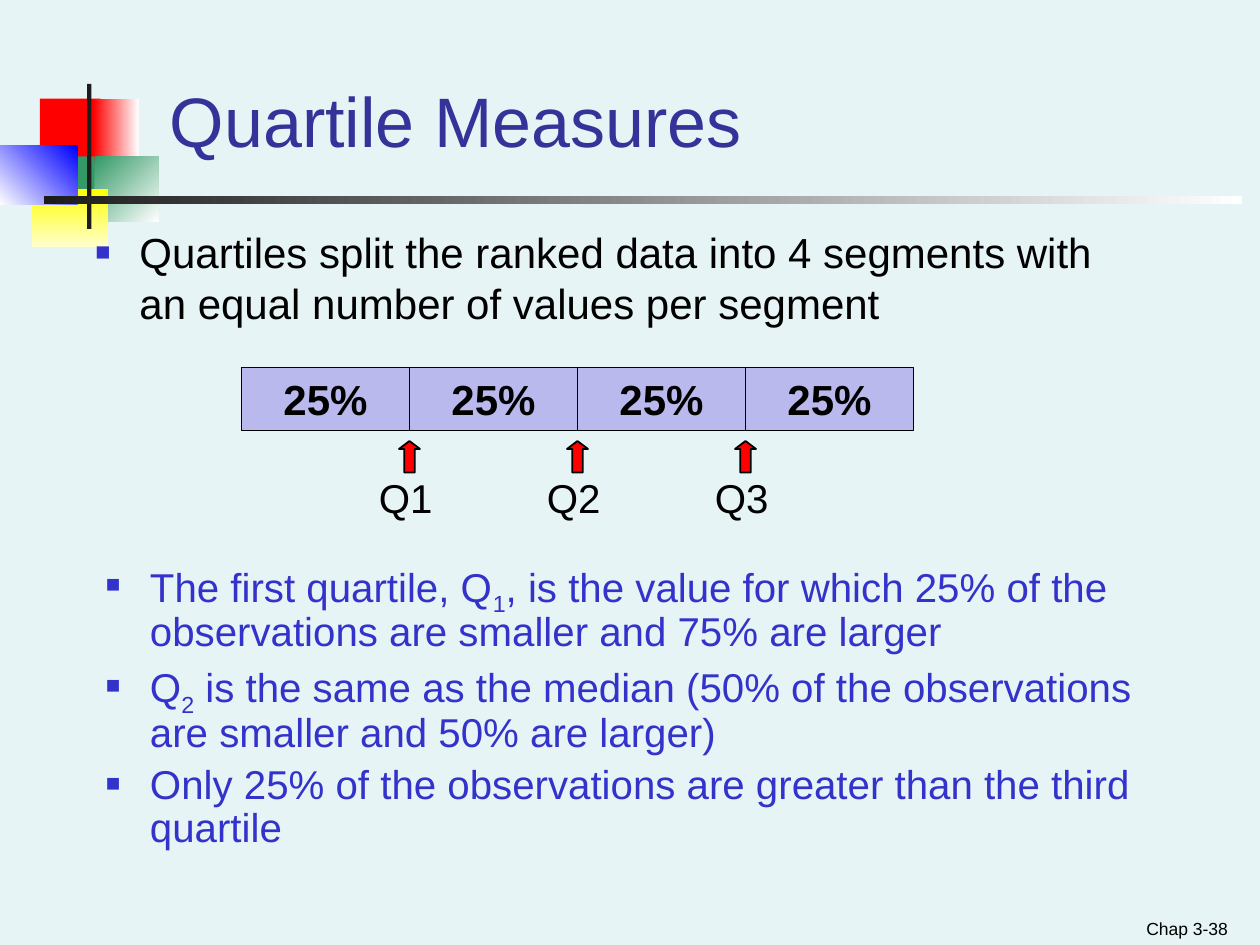
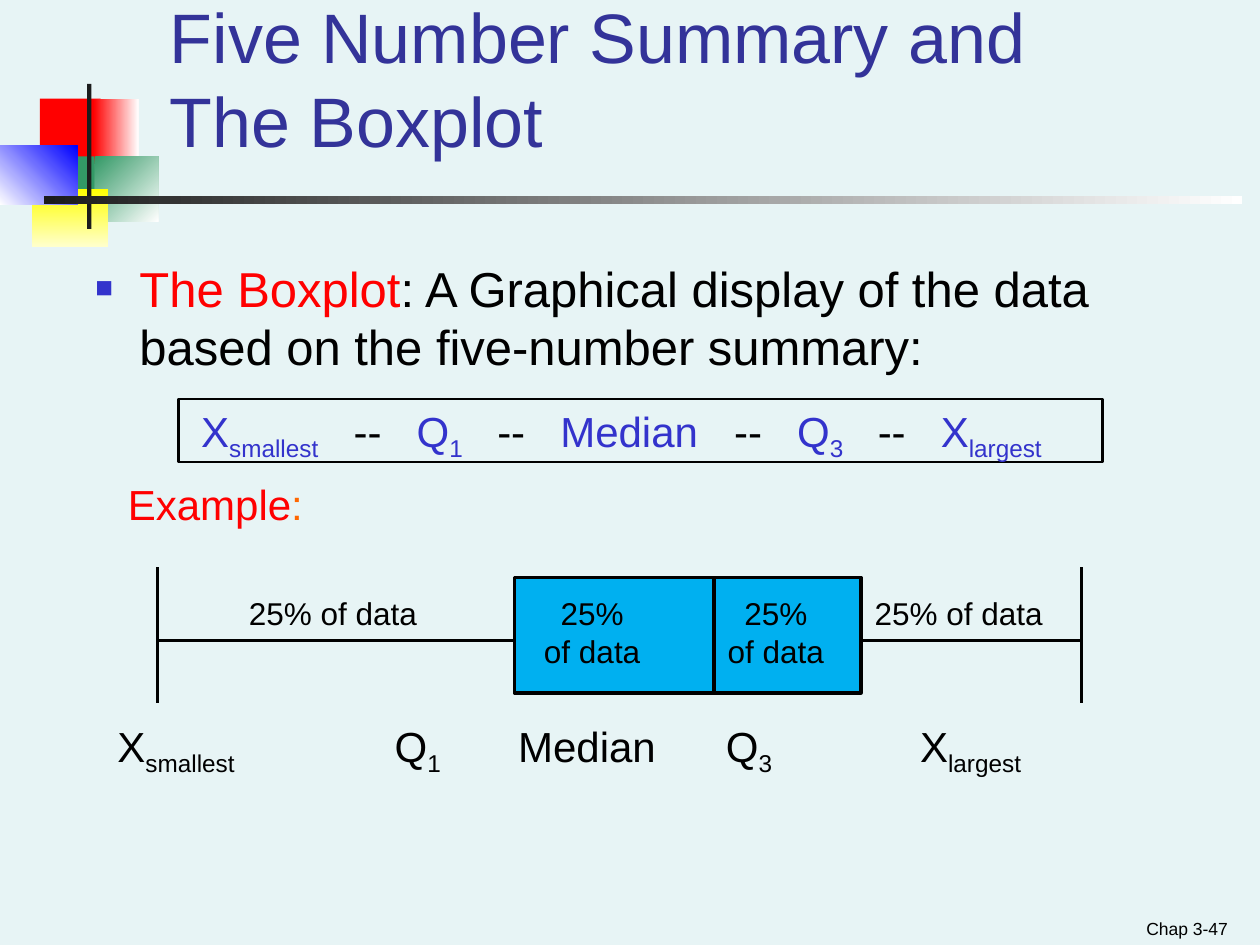
from lxml import etree
from pptx import Presentation
from pptx import util as u
from pptx.dml.color import RGBColor
from pptx.enum import shapes, text
from pptx.oxml import ns

COLS, ROWS = 120, 90
WIDE, HIGH = u.Inches(10), u.Inches(7.5)
FONT = "Arial"

PALE = RGBColor(0xE7, 0xF4, 0xF5)
BLACK = RGBColor(0, 0, 0)
WHITE = RGBColor(0xFF, 0xFF, 0xFF)
RED = RGBColor(0xFF, 0, 0)
GREEN = RGBColor(0x33, 0x99, 0x66)
YELLOW = RGBColor(0xFF, 0xFF, 0)
CREAM = RGBColor(0xFF, 0xFF, 0xCC)
BLUE = RGBColor(0, 0, 0xFF)
INK = RGBColor(0x1C, 0x1C, 0x1C)
NAVY = RGBColor(0x33, 0x33, 0x99)
INDIGO = RGBColor(0x33, 0x33, 0xCC)
LILAC = RGBColor(0xB9, 0xB9, 0xED)
SKY = RGBColor(0, 0xB0, 0xF0)
ORANGE = RGBColor(0xFF, 0x66, 0)

LEFT, MID, RIGHT = text.PP_ALIGN.LEFT, text.PP_ALIGN.CENTER, text.PP_ALIGN.RIGHT
TOP, CENTER, BOTTOM = text.MSO_ANCHOR.TOP, text.MSO_ANCHOR.MIDDLE, text.MSO_ANCHOR.BOTTOM
RECT, ARROW = shapes.MSO_SHAPE.RECTANGLE, shapes.MSO_SHAPE.UP_ARROW


def place(*cells):
    return [round(c * (HIGH / ROWS if i % 2 else WIDE / COLS)) for i, c in enumerate(cells)]


def child(node, tag, **attrs):
    return etree.SubElement(node, ns.qn("a:" + tag), attrs)


def bullet(para):
    props = para._p.get_or_add_pPr()
    props.set("marL", str(u.Inches(0.35)))
    props.set("indent", str(-u.Inches(0.35)))
    child(child(props, "buClr"), "srgbClr", val=str(INDIGO))
    child(props, "buSzPct", val="60000")
    child(props, "buFont", typeface=FONT)
    child(props, "buChar", char="■")


def tabs(para, stops):
    stop_list = child(para._p.get_or_add_pPr(), "tabLst")
    for stop in stops:
        child(stop_list, "tab", pos=str(u.Inches(stop)), algn="l")


def write(shape, paras, size=24, color=BLACK, bold=False, align=LEFT, anchor=TOP,
          bullets=False, stops=(), lead=None, gap=0, inset=0.09):
    frame = shape.text_frame
    frame.word_wrap = True
    frame.vertical_anchor = anchor
    frame.margin_left = frame.margin_right = u.Inches(inset)
    frame.margin_top = frame.margin_bottom = u.Inches(0.05)
    for i, runs in enumerate(paras):
        para = frame.paragraphs[0] if i == 0 else frame.add_paragraph()
        if bullets:
            bullet(para)
        if stops:
            tabs(para, stops)
        para.alignment = align
        if lead:
            para.line_spacing = lead
        if i and gap:
            para.space_before = u.Pt(gap)
        if isinstance(runs, str):
            runs = [(runs, color)]
        for words, tint in runs:
            for j, part in enumerate(words.split("_")):
                if not part:
                    continue
                run = para.add_run()
                run.text = part
                run.font.name, run.font.size = FONT, u.Pt(size)
                run.font.bold = bold
                run.font.color.rgb = tint
                if j % 2:
                    run._r.get_or_add_rPr().set("baseline", "-25000")


def label(slide, cells, paras, **form):
    write(slide.shapes.add_textbox(*place(*cells)), paras, **form)


def block(slide, cells, fill=None, end=None, angle=0, line=None, kind=RECT):
    shape = slide.shapes.add_shape(kind, *place(*cells))
    shape.shadow.inherit = False
    if end is not None:
        shape.fill.gradient()
        shape.fill.gradient_angle = angle
        for stop, tint in zip(shape.fill.gradient_stops, (fill, end)):
            stop.color.rgb = tint
    elif fill is not None:
        shape.fill.solid()
        shape.fill.fore_color.rgb = fill
    else:
        shape.fill.background()
    if line:
        shape.line.color.rgb = BLACK
        shape.line.width = u.Pt(line)
    else:
        shape.line.fill.background()
    return shape


def rule(slide, *ends):
    line = slide.shapes.add_connector(shapes.MSO_CONNECTOR.STRAIGHT, *place(*ends))
    line.line.color.rgb = BLACK
    line.line.width = u.Pt(2)
    child(line._element.spPr, "effectLst")


def base(deck, title, page):
    slide = deck.slides.add_slide(deck.slide_layouts[6])
    slide.background.fill.solid()
    slide.background.fill.fore_color.rgb = PALE
    for cells, fill, end, angle in (
        ((3.8, 9.4, 5.8, 6.2), RED, None, 0),
        ((8.9, 9.4, 4.3, 6.2), RED, WHITE, 0),
        ((9, 14.9, 6.1, 6.2), GREEN, WHITE, 315),
        ((5.2, 14.9, 3.8, 6.2), GREEN, None, 0),
        ((3, 18, 7.3, 5.5), YELLOW, CREAM, 270),
        ((0, 13.9, 7.4, 5.6), WHITE, BLUE, 45),
        ((8.3, 8, 0.4, 13.8), INK, None, 0),
        ((4.2, 18.7, 114.1, 0.7), INK, WHITE, 0),
    ):
        block(slide, cells, fill, end, angle)
    label(slide, (15.1, 3, 96.9, 13), title, size=40, color=NAVY, anchor=BOTTOM)
    label(slide, (90, 85.8, 28, 4.2), [f"Chap 3-{page}"], size=10, align=RIGHT, anchor=BOTTOM)
    return slide


def quartiles(deck):
    slide = base(deck, ["Quartile Measures"], 38)
    label(slide, (8, 21, 98, 12.5),
          ["Quartiles split the ranked data into 4 segments with an equal number of values per segment"],
          bullets=True)
    start, pitch = 23, 16
    for i in range(4):
        part = block(slide, (start + i * pitch, 35, pitch, 6), LILAC, line=1)
        write(part, ["25%"], bold=True, align=MID, anchor=CENTER)
    for i in range(1, 4):
        edge = start + i * pitch
        arrow = block(slide, (edge - 1, 42, 2, 3), RED, line=1, kind=ARROW)
        arrow.adjustments[1] = 0.38
        label(slide, (edge - 4, 45, 8, 6), [f"Q{i}"], size=23, lead=0.9)
    label(slide, (9, 53, 105, 29), [
        "The first quartile, Q_1_, is the value for which 25% of the observations are smaller and 75% are larger",
        "Q_2_ is the same as the median (50% of the observations are smaller and 50% are larger)",
        "Only 25% of the observations are greater than the third quartile",
    ], size=23, color=INDIGO, bullets=True, lead=0.9, gap=4.6)


def boxplot(deck):
    slide = base(deck, ["Five Number Summary and", "The Boxplot"], 47)
    label(slide, (8, 24, 106, 12),
          [[("The Boxplot", RED),
            (": A Graphical display of the data based on the five-number summary:", BLACK)]],
          size=28, bullets=True)

    names = ["X_smallest_", "Q_1_", "Median", "Q_3_", "X_largest_"]
    terms = [(names[0], INDIGO)]
    for name in names[1:]:
        terms += [("\t--\t", BLACK), (name, INDIGO)]
    frame = block(slide, (17, 38, 88, 6), line=1.25)
    write(frame, [terms], inset=0.18,
          stops=(1.21, 1.71, 2.35, 2.85, 4.23, 4.73, 5.37, 5.87))
    label(slide, (11, 45, 24, 6), [[("Example", RED), (":", ORANGE)]], inset=0.1)

    low, first, median, third, high = 15, 49, 68, 82, 103
    block(slide, (first, 55, third - first, 11), SKY, line=2)
    for end in (low, high):
        rule(slide, end, 54, end, 67)
    rule(slide, low, 61, first, 61)
    rule(slide, third, 61, high, 61)
    rule(slide, median, 55, median, 66)
    for mid, lines in ((31.7, ["25% of data"]), (56.4, ["25%", "of data"]),
                       (73.9, ["25%", "of data"]), (91.3, ["25% of data"])):
        label(slide, (mid - 8.5, 56, 17, 8.4), lines, size=18, align=MID, inset=0)
    label(slide, (10, 68, 104, 6), ["\t".join(names)], inset=0.1,
          stops=(2.2, 3.18, 4.83, 6.37))


def main():
    deck = Presentation()
    deck.slide_width, deck.slide_height = WIDE, HIGH
    quartiles(deck)
    boxplot(deck)
    deck.save("out.pptx")


if __name__ == "__main__":
    main()
